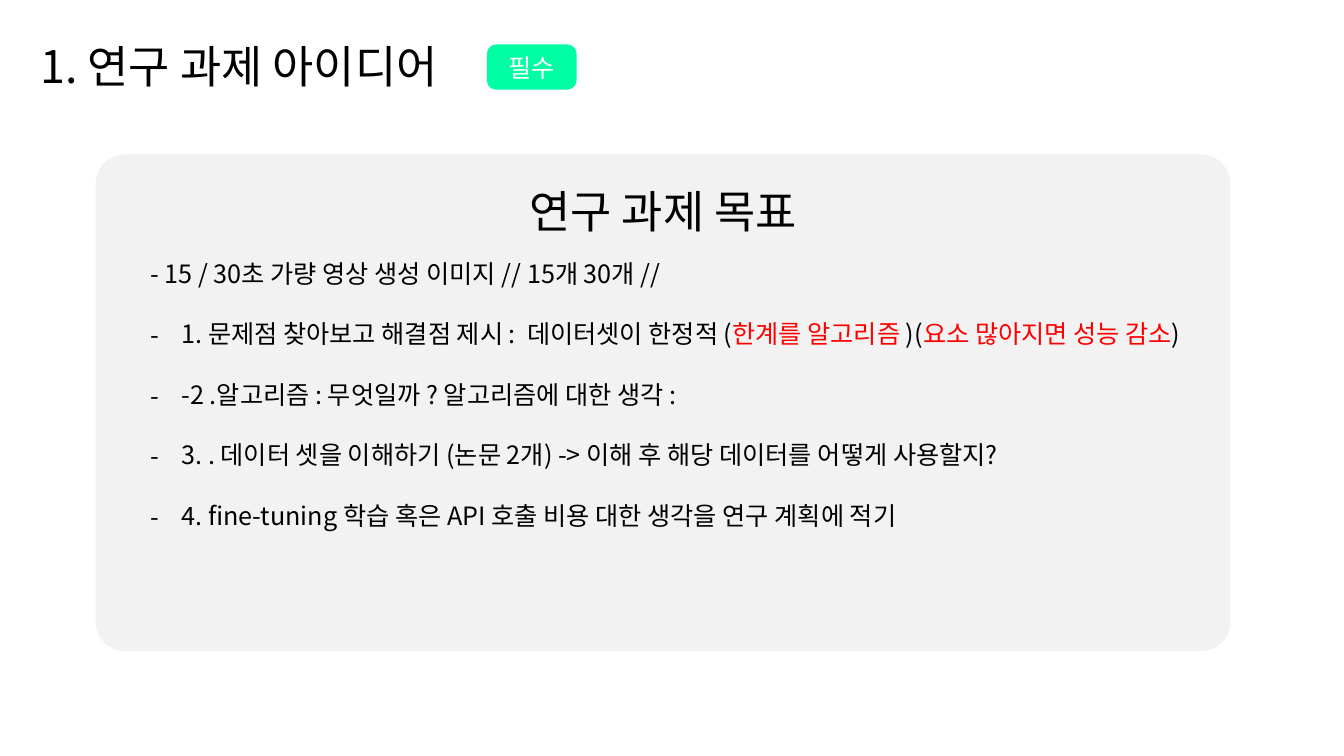
from dataclasses import dataclass

from lxml.etree import SubElement
from pptx import Presentation
from pptx.dml.color import RGBColor
from pptx.enum.shapes import MSO_SHAPE
from pptx.enum.text import MSO_ANCHOR, MSO_AUTO_SIZE, PP_ALIGN
from pptx.oxml.ns import qn
from pptx.util import Cm, Pt

FONT = "Noto Sans CJK KR"
COLOURS = {"ink": "000000", "red": "FF0000", "white": "FFFFFF",
           "panel": "F2F2F2", "tag": "00FFA5"}
LEAD = 1.2  # line height as a multiple of the text size
HANG = 0.79


@dataclass
class Box:
    left: float
    top: float
    width: float
    height: float


@dataclass
class Bit:
    text: str
    colour: str = "ink"


@dataclass
class Item:
    bits: list[Bit]
    dash: bool = True


PANEL = Box(2.41, 3.89, 28.6, 12.52)
TITLE = Box(0.76, 0.86, 12.09, 1.63)
TAG = Box(12.27, 1.12, 2.26, 1.14)
HEAD = Box(5.21, 4.5, 23.01, 1.63)
LIST = Box(3.53, 6.38, 27.03, 8.71)

ITEMS = [
    Item([Bit("- 15 / 30초 가량 영상 생성 이미지 // 15개 30개 //")], dash=False),
    Item([Bit("1. 문제점 찾아보고 해결점 제시 :  데이터셋이 한정적 ("),
          Bit("한계를 알고리즘 ", "red"),
          Bit(")("),
          Bit("요소 많아지면 성능 감소", "red"),
          Bit(")")]),
    Item([Bit("-2 .알고리즘 : 무엇일까 ? 알고리즘에 대한 생각 :")]),
    Item([Bit("3. . 데이터 셋을 이해하기 (논문 2개) -> "
              "이해 후 해당 데이터를 어떻게 사용할지?")]),
    Item([Bit("4. fine-tuning 학습 혹은 API 호출 비용 대한 생각을 연구 계획에 적기")]),
]


def tint(name: str) -> RGBColor:
    return RGBColor.from_string(COLOURS[name])


def place(shape, box: Box) -> None:
    shape.left, shape.top = Cm(box.left), Cm(box.top)
    shape.width, shape.height = Cm(box.width), Cm(box.height)


def setup(shape, anchor=MSO_ANCHOR.TOP):
    """Give the text frame its wrap and anchor, and return it."""
    frame = shape.text_frame
    frame.word_wrap = True
    frame.auto_size = MSO_AUTO_SIZE.NONE
    frame.vertical_anchor = anchor
    return frame


def write(para, bits: list[Bit], size: float, align=PP_ALIGN.LEFT) -> None:
    para.alignment = align
    para.line_spacing = Pt(size * LEAD)
    para.space_before = para.space_after = Pt(0)
    for bit in bits:
        run = para.add_run()
        run.text = bit.text
        run.font.size = Pt(size)
        run.font.name = FONT
        run.font.color.rgb = tint(bit.colour)
        SubElement(run.font._element, qn("a:ea"), typeface=FONT)


def mark(para, dash: bool) -> None:
    """Set the hanging indent and the dash, or clear both."""
    props = para._p.get_or_add_pPr()
    hang = Cm(HANG) if dash else 0
    props.set("marL", str(hang))
    props.set("indent", str(-hang))
    if dash:
        SubElement(props, qn("a:buFont"), typeface=FONT)
        SubElement(props, qn("a:buChar"), char="-")
    else:
        SubElement(props, qn("a:buNone"))


def block(slide, box: Box, fill: str, curve: float):
    shape = slide.shapes.add_shape(
        MSO_SHAPE.ROUNDED_RECTANGLE,
        Cm(box.left), Cm(box.top), Cm(box.width), Cm(box.height))
    shape.adjustments[0] = curve
    shape.shadow.inherit = False
    shape.fill.solid()
    shape.fill.fore_color.rgb = tint(fill)
    shape.line.fill.background()
    return shape


def main() -> None:
    deck = Presentation()
    deck.slide_width, deck.slide_height = Cm(33.87), Cm(19.05)
    slide = deck.slides.add_slide(deck.slide_layouts[1])
    title, body = slide.placeholders

    panel = block(slide, PANEL, "panel", 0.06)
    title.element.addprevious(panel.element)  # behind the text

    place(title, TITLE)
    write(setup(title).paragraphs[0], [Bit("1. 연구 과제 아이디어")], 32)

    tag = block(slide, TAG, "tag", 0.2)
    write(setup(tag, MSO_ANCHOR.MIDDLE).paragraphs[0],
          [Bit("필수", "white")], 18, PP_ALIGN.CENTER)

    head = slide.shapes.add_textbox(0, 0, 0, 0)
    place(head, HEAD)
    write(setup(head).paragraphs[0], [Bit("연구 과제 목표")], 32, PP_ALIGN.CENTER)

    place(body, LIST)
    frame = setup(body)
    for num, item in enumerate(ITEMS):
        para = frame.add_paragraph() if num else frame.paragraphs[0]
        write(para, item.bits, 18)
        para.space_before = Pt(18 * LEAD if num else 0)
        mark(para, item.dash)

    deck.save("out.pptx")


if __name__ == "__main__":
    main()
